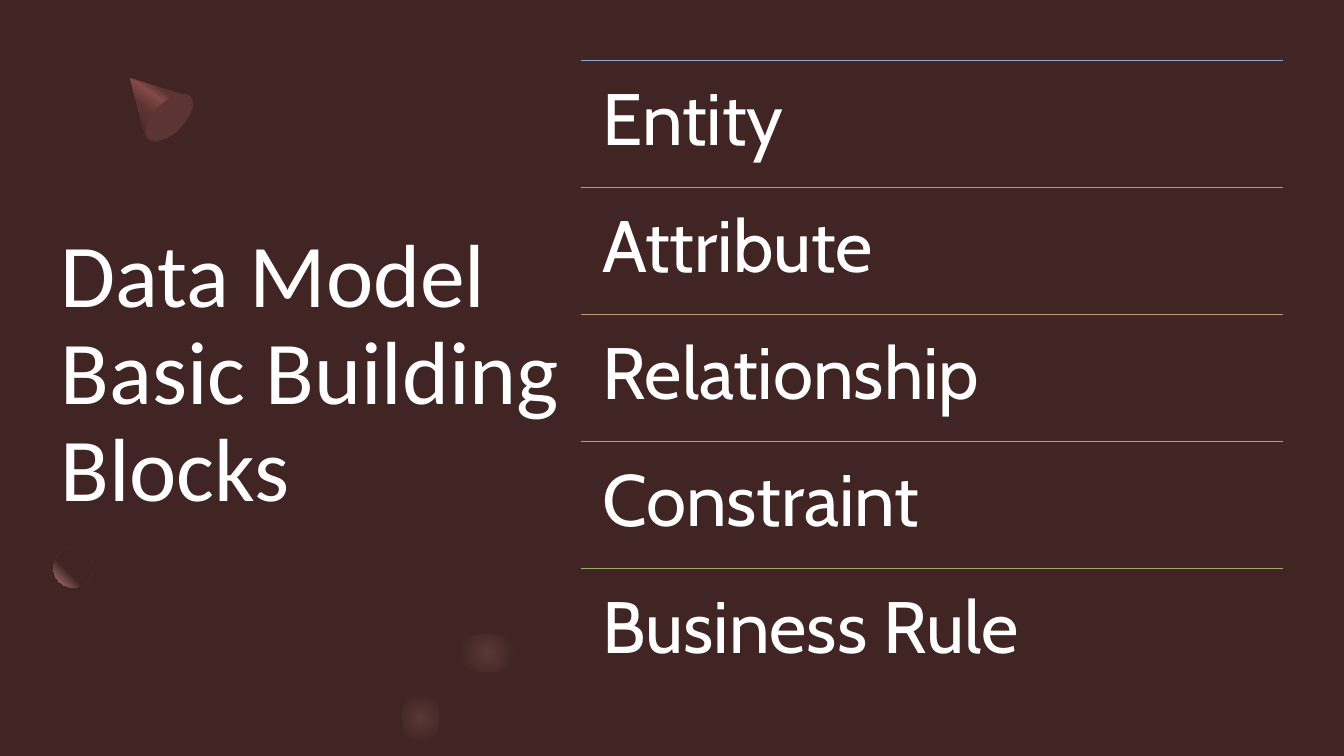
from lxml import etree
from pptx import Presentation
from pptx.dml.color import RGBColor
from pptx.enum import shapes, text
from pptx.oxml import ns
from pptx.util import Pt

BACKGROUND = RGBColor(0x41, 0x25, 0x24)
WHITE = RGBColor(0xFF, 0xFF, 0xFF)
CONE_DARK = RGBColor(0x5B, 0x34, 0x33)
CONE_LIGHT = RGBColor(0x83, 0x4A, 0x48)
MOON = RGBColor(0xB6, 0x7D, 0x7B)
GLOW = RGBColor(0x59, 0x38, 0x36)

BLOCKS = [
    ("Entity", RGBColor(0x8C, 0xA5, 0xCD)),
    ("Attribute", RGBColor(0xAB, 0x8F, 0xCE)),
    ("Relationship", RGBColor(0xC3, 0x98, 0x76)),
    ("Constraint", RGBColor(0xAC, 0xA4, 0x77)),
    ("Business Rule", RGBColor(0x99, 0xAC, 0x68)),
]
LIST_LEFT, LIST_TOP, LIST_WIDTH, ROW_HEIGHT = 414.7, 43.2, 501.8, 90.7

CONE_APEX = (92.9, 56.2)
# Bezier segments of the cone's rim: start, two handles, end.
CONE_RIM = [
    [(133.2, 67.7), (134.6, 68.2), (135.2, 68.6), (135.6, 69.1)],
    [(135.6, 69.1), (139.7, 73.4), (136.1, 83.5), (128.2, 91.4)],
    [(128.2, 91.4), (119.5, 100.1), (109.4, 103), (105.8, 99.4)],
    [(105.8, 99.4), (105.1, 98.6), (104.6, 97.9), (104.4, 97.2)],
]


def bezier_points(segment, steps=10):
    for step in range(1, steps + 1):
        t = step / steps
        weights = ((1 - t) ** 3, 3 * t * (1 - t) ** 2, 3 * t * t * (1 - t), t ** 3)
        yield tuple(sum(w * point[axis] for w, point in zip(weights, segment))
                    for axis in (0, 1))


def finish(shape):
    shape.shadow.inherit = False
    shape.line.fill.background()


def fill_gradient(shape, stops, angle=None, focus=None):
    """Fill linearly at an angle, or in circles around a focus (l, t, r, b in percent)."""
    shape.fill.background()
    empty = shape._element.spPr.find(ns.qn("a:noFill"))
    gradient = etree.Element(ns.qn("a:gradFill"), rotWithShape="1")
    stop_list = etree.SubElement(gradient, ns.qn("a:gsLst"))
    for position, color in stops:
        stop = etree.SubElement(stop_list, ns.qn("a:gs"), pos=str(position * 1000))
        etree.SubElement(stop, ns.qn("a:srgbClr"), val=str(color))
    if focus is None:
        etree.SubElement(gradient, ns.qn("a:lin"), ang=str(angle * 60000), scaled="0")
    else:
        circle = etree.SubElement(gradient, ns.qn("a:path"), path="circle")
        sides = {side: str(value * 1000) for side, value in zip("ltrb", focus)}
        etree.SubElement(circle, ns.qn("a:fillToRect"), **sides)
    empty.getparent().replace(empty, gradient)


def add_oval(page, left, top, width, height):
    oval = page.shapes.add_shape(shapes.MSO_SHAPE.OVAL, Pt(left), Pt(top),
                                 Pt(width), Pt(height))
    finish(oval)
    return oval


def add_cone(page):
    builder = page.shapes.build_freeform(*CONE_APEX, scale=Pt(1))
    outline = [CONE_RIM[0][0]]
    for segment in CONE_RIM:
        outline.extend(bezier_points(segment))
    builder.add_line_segments(outline, close=True)
    side = builder.convert_to_shape()
    finish(side)
    fill_gradient(side, [(0, CONE_DARK), (30, CONE_DARK), (40, CONE_LIGHT),
                         (60, CONE_DARK), (100, BACKGROUND)], angle=125)
    base = add_oval(page, 110.2, 62.6, 21.6, 42.5)
    base.rotation = 45
    base.fill.solid()
    base.fill.fore_color.rgb = CONE_DARK


def add_moon(page):
    moon = add_oval(page, 38.2, 391.7, 28, 28)
    fill_gradient(moon, [(0, BACKGROUND), (60, BACKGROUND), (100, MOON)],
                  focus=(100, 0, 0, 100))


def add_glow(page, left, top, width, height):
    glow = add_oval(page, left, top, width, height)
    fill_gradient(glow, [(0, GLOW), (70, BACKGROUND), (100, BACKGROUND)],
                  focus=(50, 50, 50, 50))


def add_text(page, words, place, inset, anchor, font):
    box = page.shapes.add_textbox(*map(Pt, place))
    frame_format = {"word_wrap": True, "vertical_anchor": anchor}
    for side in ("left", "top", "right", "bottom"):
        frame_format["margin_" + side] = Pt(inset)
    for name, value in frame_format.items():
        setattr(box.text_frame, name, value)
    para = box.text_frame.paragraphs[0]
    para.line_spacing = 0.9
    span = para.add_run()
    span.text = words
    for name, value in font.items():
        setattr(span.font, name, value)
    span.font.color.rgb = WHITE


def add_rule(page, top, color):
    rule = page.shapes.add_connector(shapes.MSO_CONNECTOR.STRAIGHT, Pt(LIST_LEFT), Pt(top),
                                     Pt(LIST_LEFT + LIST_WIDTH), Pt(top))
    rule.line.width = Pt(1)
    rule.line.color.rgb = color
    etree.SubElement(rule._element.spPr, ns.qn("a:effectLst"))


def main():
    deck = Presentation()
    deck.slide_width, deck.slide_height = Pt(960), Pt(540)
    page = deck.slides.add_slide(deck.slide_layouts[6])
    page.background.fill.solid()
    page.background.fill.fore_color.rgb = BACKGROUND

    add_text(page, "Data Model Basic Building Blocks", (43.2, 119.5, 360, 297.4), 0,
             text.MSO_ANCHOR.MIDDLE, {"name": "Calibri", "size": Pt(64)})
    add_cone(page)
    add_moon(page)
    add_glow(page, 322, 453, 52, 27)
    add_glow(page, 287, 490, 27, 46)

    for row, (block, color) in enumerate(BLOCKS):
        top = LIST_TOP + row * ROW_HEIGHT
        add_rule(page, top, color)
        add_text(page, block, (LIST_LEFT, top, LIST_WIDTH, ROW_HEIGHT), 15.6,
                 text.MSO_ANCHOR.TOP, {"name": "Cabin", "size": Pt(52)})

    deck.save("out.pptx")


if __name__ == "__main__":
    main()
